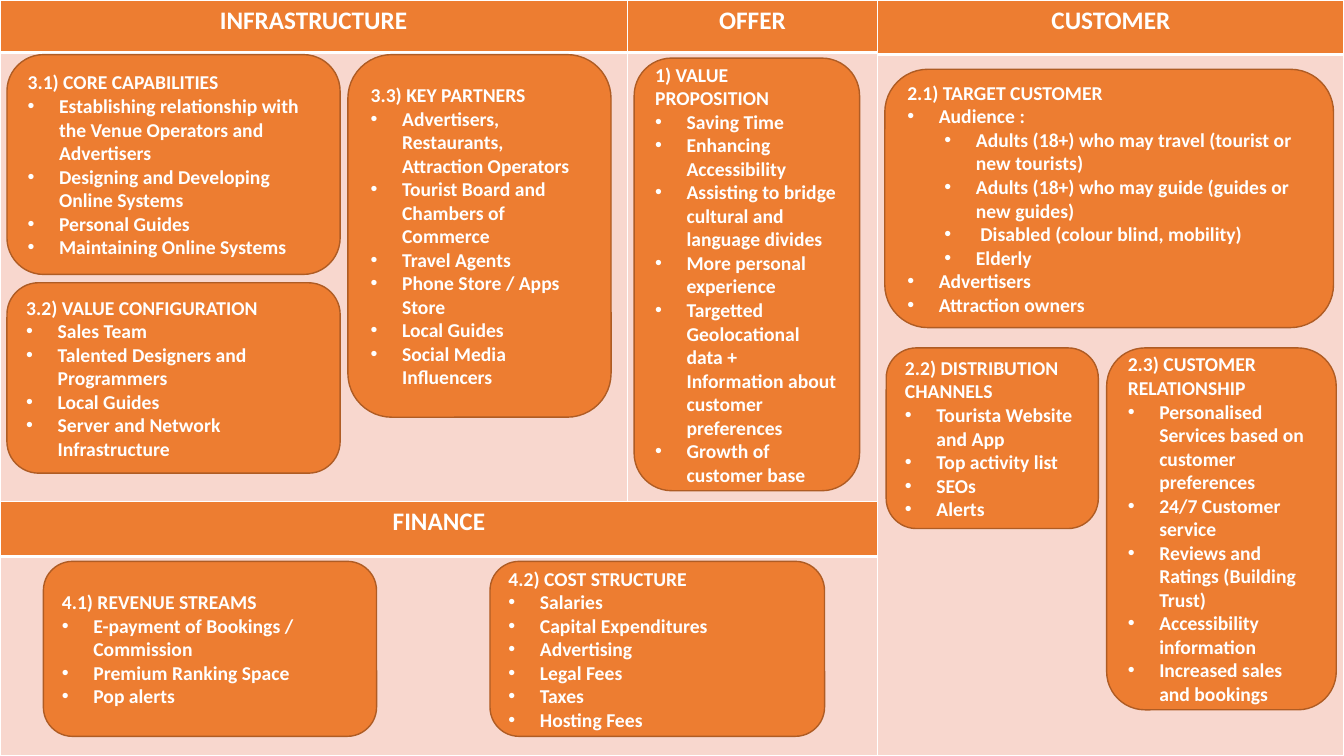
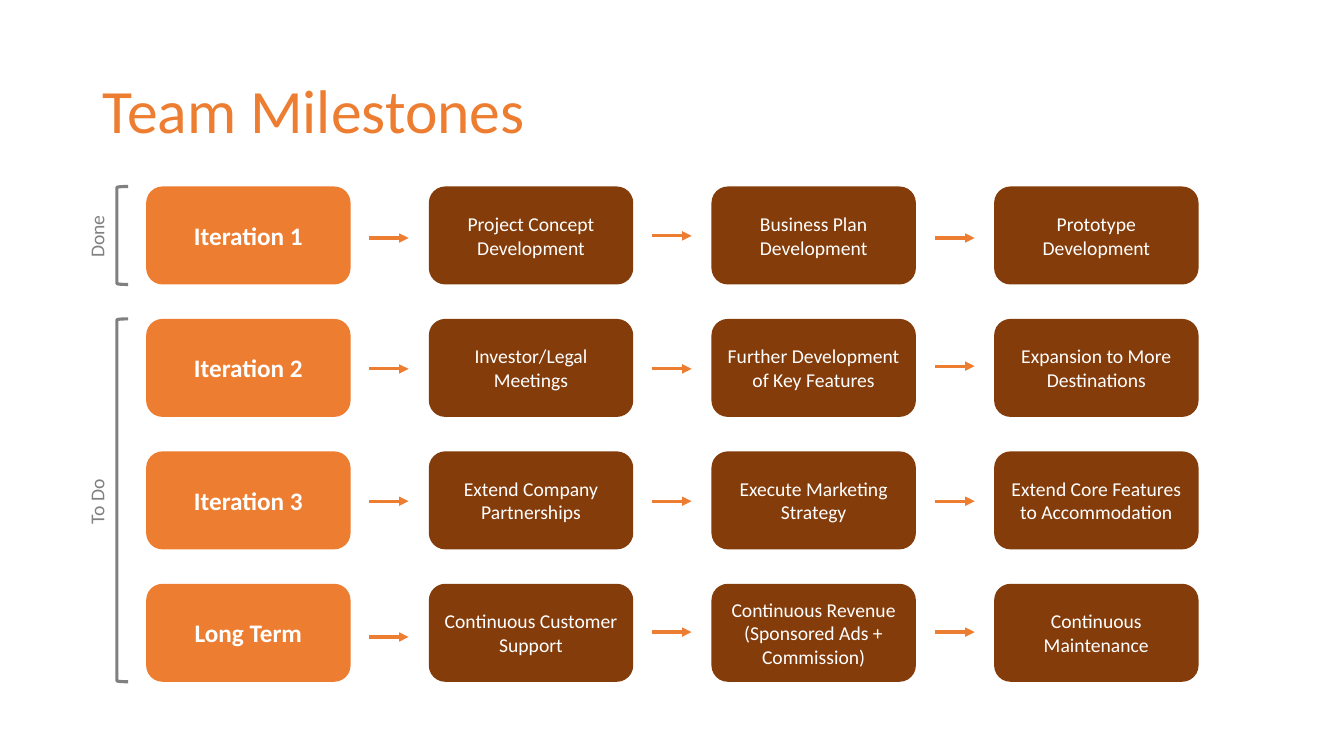
import pptx
import pptx.util
import pptx.dml.color
import pptx.enum.shapes
import pptx.enum.text
import pptx.oxml.ns
from lxml import etree

Pt = pptx.util.Pt
RGBColor = pptx.dml.color.RGBColor
SHAPE = pptx.enum.shapes.MSO_SHAPE
ALIGN = pptx.enum.text.PP_ALIGN
ANCHOR = pptx.enum.text.MSO_ANCHOR
qn = pptx.oxml.ns.qn

ORANGE = RGBColor(0xED, 0x7D, 0x31)
OUTLINE = RGBColor(0xAF, 0x5C, 0x24)
PINK = RGBColor(0xF8, 0xD7, 0xCE)
BROWN = RGBColor(0x84, 0x3C, 0x0B)
GREY = RGBColor(0x80, 0x80, 0x80)
WHITE = RGBColor(0xFF, 0xFF, 0xFF)
FONT = "Calibri"
BULLET_HANG = 22.5
SUB_INDENT = 49


def style_para(para, size, color, bold=False, align=ALIGN.LEFT):
    para.alignment = align
    for span in para.runs:
        span.font.name = FONT
        span.font.size = Pt(size)
        span.font.bold = bold
        span.font.color.rgb = color


def add_card(page, left, top, width, height, fill):
    card = page.shapes.add_shape(
        SHAPE.ROUNDED_RECTANGLE, Pt(left), Pt(top), Pt(width), Pt(height))
    card.shadow.inherit = False
    card.fill.solid()
    card.fill.fore_color.rgb = fill
    card.line.fill.background()
    card.text_frame.word_wrap = True
    card.text_frame.vertical_anchor = ANCHOR.MIDDLE
    return card


deck = pptx.Presentation()
deck.slide_width = Pt(960)
deck.slide_height = Pt(540)

page = deck.slides.add_slide(deck.slide_layouts[6])

panels = [
    ("INFRASTRUCTURE", 0, 0, 448, 37.5, 321),
    ("OFFER", 448, 0, 179, 37.5, 321),
    ("CUSTOMER", 627, 0, 333, 39, 501),
    ("FINANCE", 0, 358.5, 627, 39, 142.5),
]
for heading, left, top, width, header_height, body_height in panels:
    table = page.shapes.add_table(
        2, 1, Pt(left), Pt(top), Pt(width), Pt(header_height + body_height)).table
    table.rows[0].height = Pt(header_height)
    table.rows[1].height = Pt(body_height)
    header, body = table.cell(0, 0), table.cell(1, 0)
    for cell, fill, top_weight, bottom_weight in (
            (header, ORANGE, 1, 3), (body, PINK, 3, 1)):
        properties = cell._tc.get_or_add_tcPr()
        for side, weight in (("L", 1), ("R", 1), ("T", top_weight), ("B", bottom_weight)):
            border = etree.SubElement(properties, qn("a:ln" + side), w=str(Pt(weight)))
            paint = etree.SubElement(border, qn("a:solidFill"))
            etree.SubElement(paint, qn("a:srgbClr"), val=str(WHITE))
        cell.fill.solid()
        cell.fill.fore_color.rgb = fill
    header.text_frame.text = heading
    style_para(header.text_frame.paragraphs[0], 18, WHITE, True, ALIGN.CENTER)

canvas_cards = [
    ((5, 39, 238, 157), "3.1) CORE CAPABILITIES", [
        "Establishing relationship with the Venue Operators and Advertisers",
        "Designing and Developing Online Systems",
        "Personal Guides",
        "Maintaining Online Systems"]),
    ((5, 202, 238, 136), "3.2) VALUE CONFIGURATION", [
        "Sales Team",
        "Talented Designers and Programmers",
        "Local Guides",
        "Server and Network Infrastructure"]),
    ((248.5, 39, 188, 259), "3.3) KEY PARTNERS", [
        "Advertisers, Restaurants, Attraction Operators",
        "Tourist Board and Chambers of Commerce",
        "Travel Agents",
        "Phone Store / Apps Store",
        "Local Guides",
        "Social Media Influencers"]),
    ((453, 41.5, 161, 309), "1) VALUE PROPOSITION", [
        "Saving Time",
        "Enhancing Accessibility",
        "Assisting to bridge cultural and language divides",
        "More personal experience",
        "Targetted Geolocational data + Information about customer preferences",
        "Growth of customer base"]),
    ((632, 49.5, 320.5, 184.5), "2.1) TARGET CUSTOMER", [
        "Audience :",
        ("Adults (18+) who may travel (tourist or new tourists)",
         "Adults (18+) who may guide (guides or new guides)",
         " Disabled (colour blind, mobility)",
         "Elderly"),
        "Advertisers",
        "Attraction owners"]),
    ((633, 248.5, 151.5, 129), "2.2) DISTRIBUTION CHANNELS", [
        "Tourista Website and App",
        "Top activity list",
        "SEOs",
        "Alerts"]),
    ((790.5, 248.5, 164, 258.5), "2.3) CUSTOMER RELATIONSHIP", [
        "Personalised Services based on customer preferences",
        "24/7 Customer service",
        "Reviews and Ratings (Building Trust)",
        "Accessibility information",
        "Increased sales and bookings"]),
    ((31, 401, 238, 125), "4.1) REVENUE STREAMS", [
        "E-payment of Bookings / Commission",
        "Premium Ranking Space",
        "Pop alerts"]),
    ((350, 401, 239, 125), "4.2) COST STRUCTURE", [
        "Salaries",
        "Capital Expenditures",
        "Advertising",
        "Legal Fees",
        "Taxes",
        "Hosting Fees"]),
]
for bounds, heading, items in canvas_cards:
    card = add_card(page, *bounds, ORANGE)
    card.line.color.rgb = OUTLINE
    card.line.width = Pt(1)
    frame = card.text_frame
    frame.text = heading
    style_para(frame.paragraphs[0], 14, WHITE, True)
    for item in items:
        nested = isinstance(item, tuple)
        for text in item if nested else (item,):
            para = frame.add_paragraph()
            para.text = text
            para.level = int(nested)
            properties = para._p.get_or_add_pPr()
            properties.set("marL", str(Pt(SUB_INDENT if nested else BULLET_HANG)))
            properties.set("indent", str(-Pt(BULLET_HANG)))
            etree.SubElement(properties, qn("a:buFont"), typeface="Arial")
            etree.SubElement(properties, qn("a:buChar"), char="•")
            style_para(para, 14, WHITE, True)

page = deck.slides.add_slide(deck.slide_layouts[5])
title = page.shapes.title
title.left, title.top, title.width, title.height = Pt(66), Pt(28.8), Pt(828), Pt(104.4)
title.text_frame.text = "Team Milestones"
title.text_frame.vertical_anchor = ANCHOR.MIDDLE
title.text_frame.paragraphs[0].line_spacing = 0.9
style_para(title.text_frame.paragraphs[0], 44, ORANGE)

CARD_LEFT, CARD_TOP, CARD_WIDTH, CARD_HEIGHT = 104.4, 133.2, 146, 70
COLUMN_STEP, ROW_STEP = 201.9, 94.6
ARROW_LEFT, ARROW_STEP, ARROW_LENGTH = 263.8, 202.2, 28

milestones = [
    (("Iteration 1", "Project Concept Development", "Business Plan Development",
      "Prototype Development"), (170, 168.5, 170)),
    (("Iteration 2", "Investor/Legal Meetings", "Further Development of Key Features",
      "Expansion to More Destinations"), (263.5, 263.5, 261.5)),
    (("Iteration 3", "Extend Company Partnerships", "Execute Marketing Strategy",
      "Extend Core Features to Accommodation"), (358, 358, 358)),
    (("Long Term", "Continuous Customer Support",
      "Continuous Revenue (Sponsored Ads + Commission)",
      "Continuous Maintenance"), (455, 451.5, 451.5)),
]
for row, (labels, arrow_heights) in enumerate(milestones):
    for column, label in enumerate(labels):
        leading = column == 0
        card = add_card(page, CARD_LEFT + column * COLUMN_STEP, CARD_TOP + row * ROW_STEP,
                        CARD_WIDTH, CARD_HEIGHT, ORANGE if leading else BROWN)
        card.text_frame.text = label
        style_para(card.text_frame.paragraphs[0], 18 if leading else 14, WHITE,
                   leading, ALIGN.CENTER)
    for gap, height in enumerate(arrow_heights):
        start = ARROW_LEFT + gap * ARROW_STEP
        arrow = page.shapes.add_connector(
            pptx.enum.shapes.MSO_CONNECTOR.STRAIGHT,
            Pt(start), Pt(height), Pt(start + ARROW_LENGTH), Pt(height))
        arrow.line.color.rgb = ORANGE
        arrow.line.width = Pt(2.25)
        etree.SubElement(arrow.line._get_or_add_ln(), qn("a:tailEnd"), type="triangle")
        etree.SubElement(arrow._element.spPr, qn("a:effectLst"))

phases = [("Done", 0, 0, 168.5, 45.5), ("To Do", 1, 3, 358, 47.5)]
for label, first_row, last_row, middle, width in phases:
    bracket = page.shapes.add_shape(
        SHAPE.LEFT_BRACKET, Pt(83.5), Pt(CARD_TOP + first_row * ROW_STEP),
        Pt(8), Pt((last_row - first_row) * ROW_STEP + CARD_HEIGHT))
    bracket.shadow.inherit = False
    bracket.fill.background()
    bracket.line.color.rgb = GREY
    bracket.line.width = Pt(2.25)
    box = page.shapes.add_textbox(
        Pt(69 - width / 2), Pt(middle - 12), Pt(width), Pt(24))
    box.rotation = 270
    box.text_frame.word_wrap = False
    box.text_frame.auto_size = pptx.enum.text.MSO_AUTO_SIZE.SHAPE_TO_FIT_TEXT
    box.text_frame.text = label
    style_para(box.text_frame.paragraphs[0], 14, GREY)

deck.save("out.pptx")
